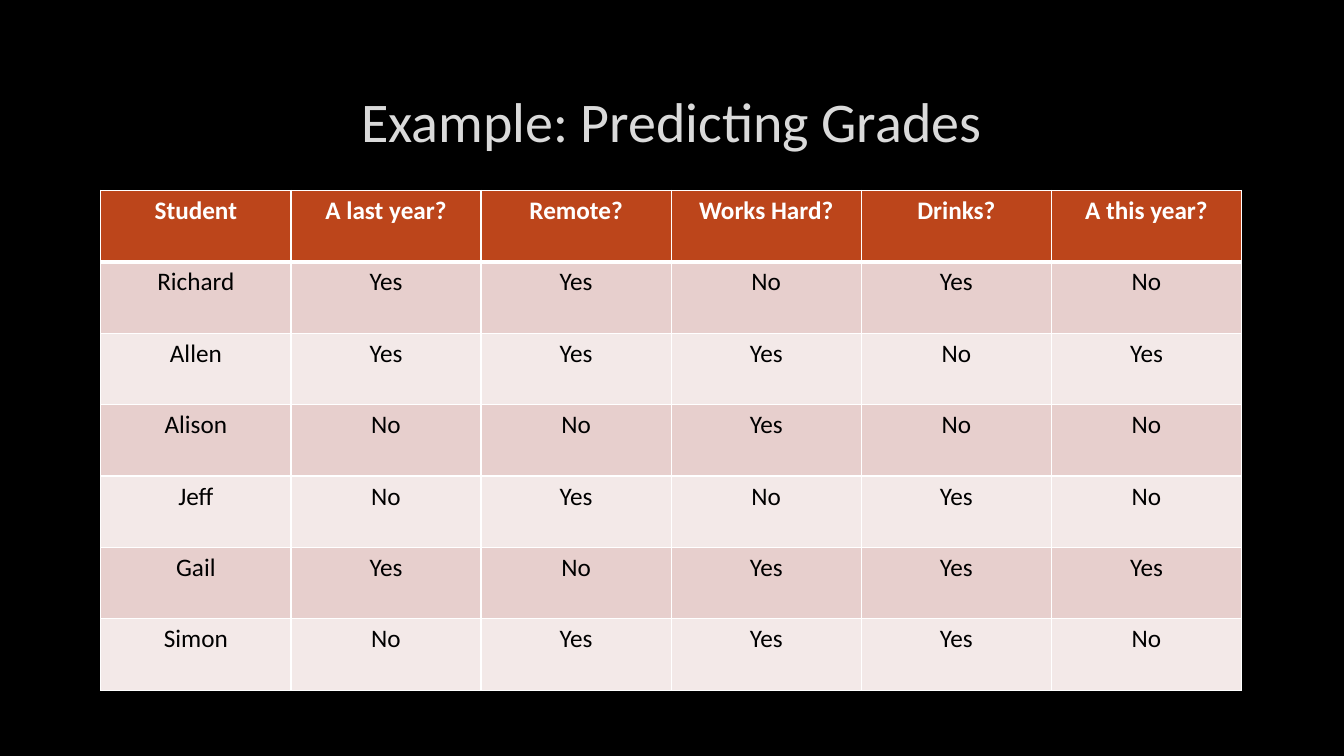
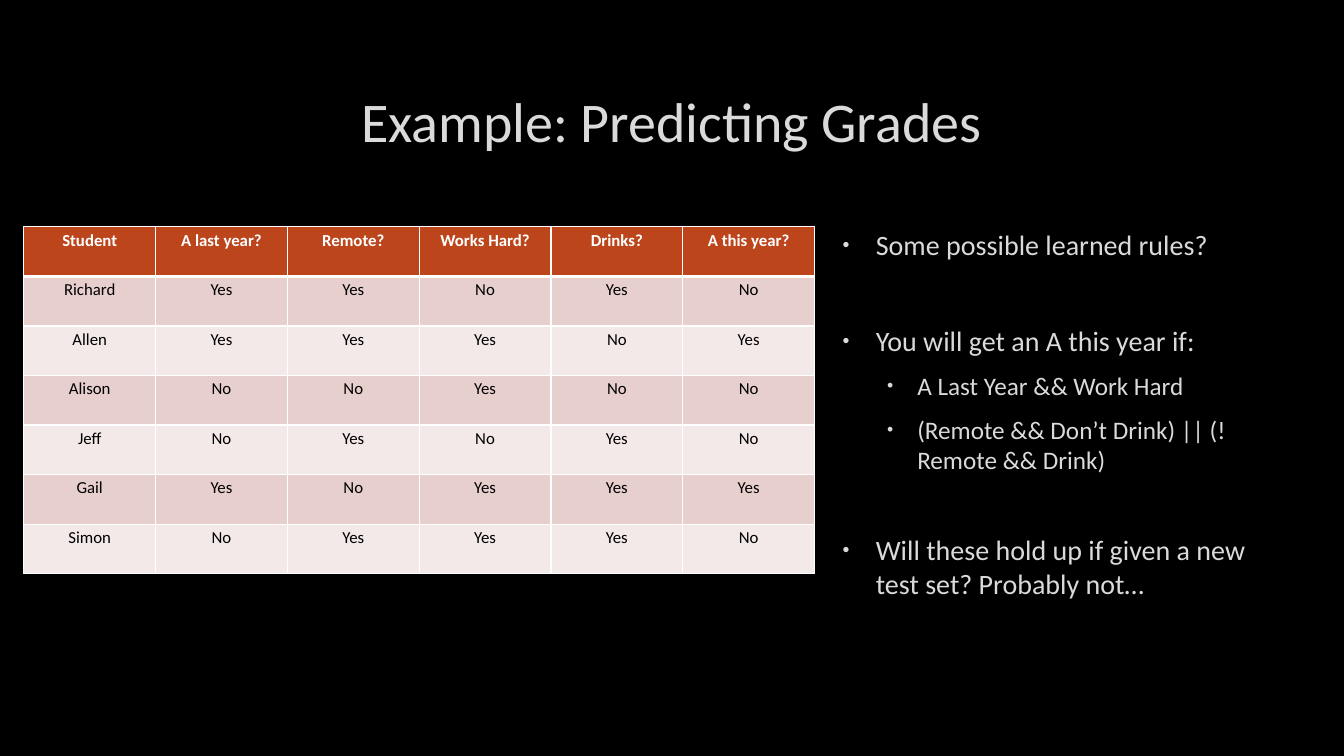
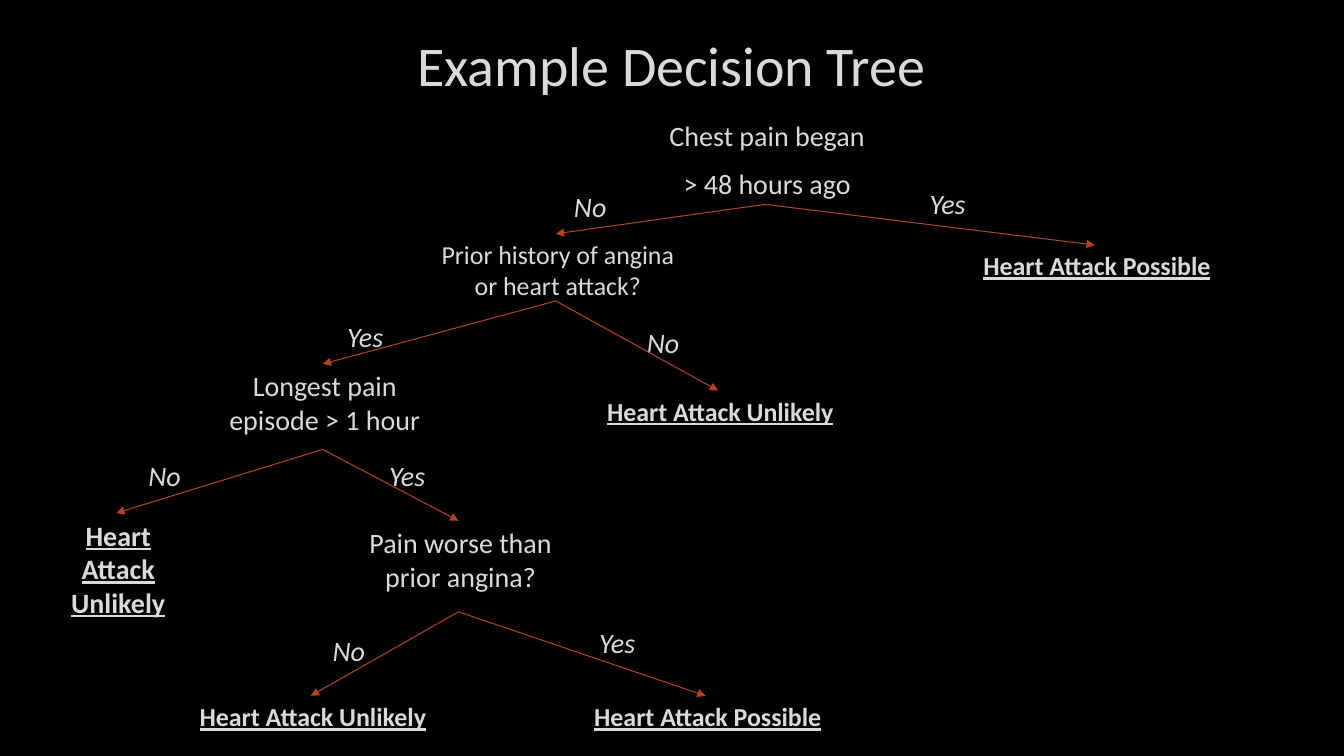
from lxml.etree import SubElement
from pptx import Presentation
from pptx.dml.color import RGBColor
from pptx.enum.shapes import MSO_CONNECTOR
from pptx.enum.text import MSO_ANCHOR, MSO_AUTO_SIZE, PP_ALIGN
from pptx.oxml import parse_xml
from pptx.oxml.ns import nsdecls, qn
from pptx.util import Pt

rgb = RGBColor.from_string

# Shared style
BLACK, WHITE, TEXT = "000000", "FFFFFF", "DADADA"
HEADER, BANDS, EDGE = "BC451B", ("F3E9E8", "E7CFCD"), "B4421A"
TITLE_TOP, TREE_TITLE_TOP = 48, 8
LEFT, CENTER = PP_ALIGN.LEFT, PP_ALIGN.CENTER


def write(frame, lines, align=CENTER, color=TEXT, **font_values):
    """Fill a text frame, one paragraph a line, in one format."""
    for index, line in enumerate(lines):
        paragraph = frame.paragraphs[0] if index == 0 else frame.add_paragraph()
        paragraph.alignment = align
        paragraph.space_before = Pt(4 if index else 0)
        run = paragraph.add_run()
        run.text = line
        run.font.name = "Calibri"
        run.font.color.rgb = rgb(color)
        for attribute, value in font_values.items():
            setattr(run.font, attribute, value)


def add_slide(layout_index, heading, top):
    """Add a slide with the common title."""
    slide = prs.slides.add_slide(prs.slide_layouts[layout_index])
    title = slide.shapes.title
    title.left, title.top, title.width, title.height = Pt(72), Pt(top), Pt(815), Pt(76)
    title.text_frame.vertical_anchor = MSO_ANCHOR.MIDDLE
    write(title.text_frame, [heading], size=Pt(40))
    return slide


prs = Presentation()
prs.slide_width, prs.slide_height = Pt(960), Pt(540)
background = prs.slide_master.background.fill
background.solid()
background.fore_color.rgb = rgb(BLACK)

# Slides 1 and 2: grade tables
grades = [
    ["Student", "A last year?", "Remote?", "Works Hard?", "Drinks?", "A this year?"],
    ["Richard", "Yes", "Yes", "No", "Yes", "No"],
    ["Allen", "Yes", "Yes", "Yes", "No", "Yes"],
    ["Alison", "No", "No", "Yes", "No", "No"],
    ["Jeff", "No", "Yes", "No", "Yes", "No"],
    ["Gail", "Yes", "No", "Yes", "Yes", "Yes"],
    ["Simon", "No", "Yes", "Yes", "Yes", "No"],
]
# layout, left, top, width, height, text size, side margin, top margin
table_settings = [
    (5, 72, 136, 815, 357, 18, 7.2, 3.6),
    (1, 17, 162, 565, 248, 12, 5, 2.4),
]
for layout, left, top, width, height, size, side, upper in table_settings:
    grade_slide = add_slide(layout, "Example: Predicting Grades", TITLE_TOP)
    table = grade_slide.shapes.add_table(
        len(grades), len(grades[0]), Pt(left), Pt(top), Pt(width), Pt(height)).table
    for row, values in enumerate(grades):
        for column, value in enumerate(values):
            cell = table.cell(row, column)
            cell.margin_left = cell.margin_right = Pt(side)
            cell.margin_top = cell.margin_bottom = Pt(upper)
            write(cell.text_frame, [value], color=BLACK if row else WHITE,
                  size=Pt(size), bold=row == 0)
            # Borders, thick between header and body
            borders = {"L": 1, "R": 1, "T": 3 if row == 1 else 1, "B": 1 if row else 3}
            for edge, weight in borders.items():
                cell._tc.get_or_add_tcPr().append(parse_xml(
                    f'<a:ln{edge} {nsdecls("a")} w="{Pt(weight)}"><a:solidFill>'
                    f'<a:srgbClr val="{WHITE}"/></a:solidFill></a:ln{edge}>'))
            cell.fill.solid()
            cell.fill.fore_color.rgb = rgb(BANDS[row % 2] if row else HEADER)

# Slide 2: learned rules beside the table
rules = grade_slide.placeholders[1]
rules.left, rules.top, rules.width, rules.height = Pt(591), Pt(159), Pt(324), Pt(351)
rules.text_frame.auto_size = MSO_AUTO_SIZE.NONE
rule_lines = [  # text, level, space before
    ("Some possible learned rules?", 0, 0),
    ("You will get an A this year if:", 0, 38.4),
    ("A Last Year && Work Hard", 1, 3.6),
    ("(Remote && Don’t Drink) || (!Remote && Drink)", 1, 3.6),
    ("Will these hold up if given a new test set? Probably not…", 0, 35.6),
]
write(rules.text_frame, [line for line, _, _ in rule_lines], align=LEFT)
for paragraph, (_, level, gap) in zip(rules.text_frame.paragraphs, rule_lines):
    paragraph.level = level
    paragraph.space_before, paragraph.space_after = Pt(gap), Pt(6)
    paragraph.runs[0].font.size = Pt(18 if level else 20)
    properties = paragraph._p.get_or_add_pPr()
    properties.set("marL", str(Pt(57 if level else 27.4)))
    properties.set("indent", str(Pt(-21.6 if level else -23.8)))
    SubElement(SubElement(properties, qn("a:buClr")), qn("a:srgbClr"), val=TEXT)
    SubElement(properties, qn("a:buSzPct"), val="70000")
    SubElement(properties, qn("a:buFont"), typeface="Arial")
    SubElement(properties, qn("a:buChar"), char="•")

# Slide 3: decision tree
tree_slide = add_slide(5, "Example Decision Tree", TREE_TITLE_TOP)
question = dict(size=Pt(20))
small_question = dict(size=Pt(18.5))
outcome = dict(size=Pt(18.5), bold=True, underline=True)
big_outcome = dict(outcome, size=Pt(20))
answer = dict(size=Pt(20), italic=True, align=LEFT)

possible, unlikely = ["Heart Attack Possible"], ["Heart Attack Unlikely"]
nodes = {  # lines, left, top, width, height, format
    "onset": (["Chest pain began", "> 48 hours ago"], 463, 81, 167, 65, question),
    "history": (["Prior history of angina or heart attack?"], 296, 167, 202, 48, small_question),
    "recent": (possible, 680, 175, 204, 30, outcome),
    "longest": (["Longest pain episode > 1 hour"], 147, 260, 167, 61, question),
    "no history": (unlikely, 411, 279, 204, 30, outcome),
    "short": (unlikely, 33, 366.5, 100, 77, big_outcome),
    "worse": (["Pain worse than prior angina?"], 244, 372, 167, 65, question),
    "not worse": (unlikely, 120, 497, 204, 30, outcome),
    "is worse": (possible, 402, 497, 204, 30, outcome),
}
branches = [  # parent, child, answer, answer left, answer top
    ("onset", "history", "No", 400, 132),
    ("onset", "recent", "Yes", 654, 130),
    ("history", "no history", "No", 452, 229),
    ("history", "longest", "Yes", 238, 225),
    ("longest", "short", "No", 96, 324),
    ("longest", "worse", "Yes", 268, 324),
    ("worse", "not worse", "No", 227.5, 449),
    ("worse", "is worse", "Yes", 418, 443.5),
]
labels = dict(nodes)
for parent, child, reply, left, top in branches:
    labels[parent, child] = ([reply], left, top, 46, 32, answer)

# Nodes and answers
boxes = {}
for key, (lines, left, top, width, height, style) in labels.items():
    box = tree_slide.shapes.add_textbox(Pt(left), Pt(top), Pt(width), Pt(height))
    box.text_frame.word_wrap = True
    box.text_frame.margin_left = Pt(10)
    write(box.text_frame, lines, **style)
    for paragraph in box.text_frame.paragraphs:
        paragraph.space_after = Pt(6)
    boxes[key] = box

# Arrows from the bottom of each parent to the top of its child
for parent, child, *_ in branches:
    arrow = tree_slide.shapes.add_connector(MSO_CONNECTOR.STRAIGHT, 0, 0, 0, 0)
    arrow.begin_connect(boxes[parent], 2)
    arrow.end_connect(boxes[child], 0)
    arrow.line.color.rgb = rgb(EDGE)
    arrow.line.width = Pt(0.75)
    SubElement(arrow.line._get_or_add_ln(), qn("a:tailEnd"), type="triangle")
    SubElement(arrow._element.spPr, qn("a:effectLst"))

prs.save("out.pptx")
